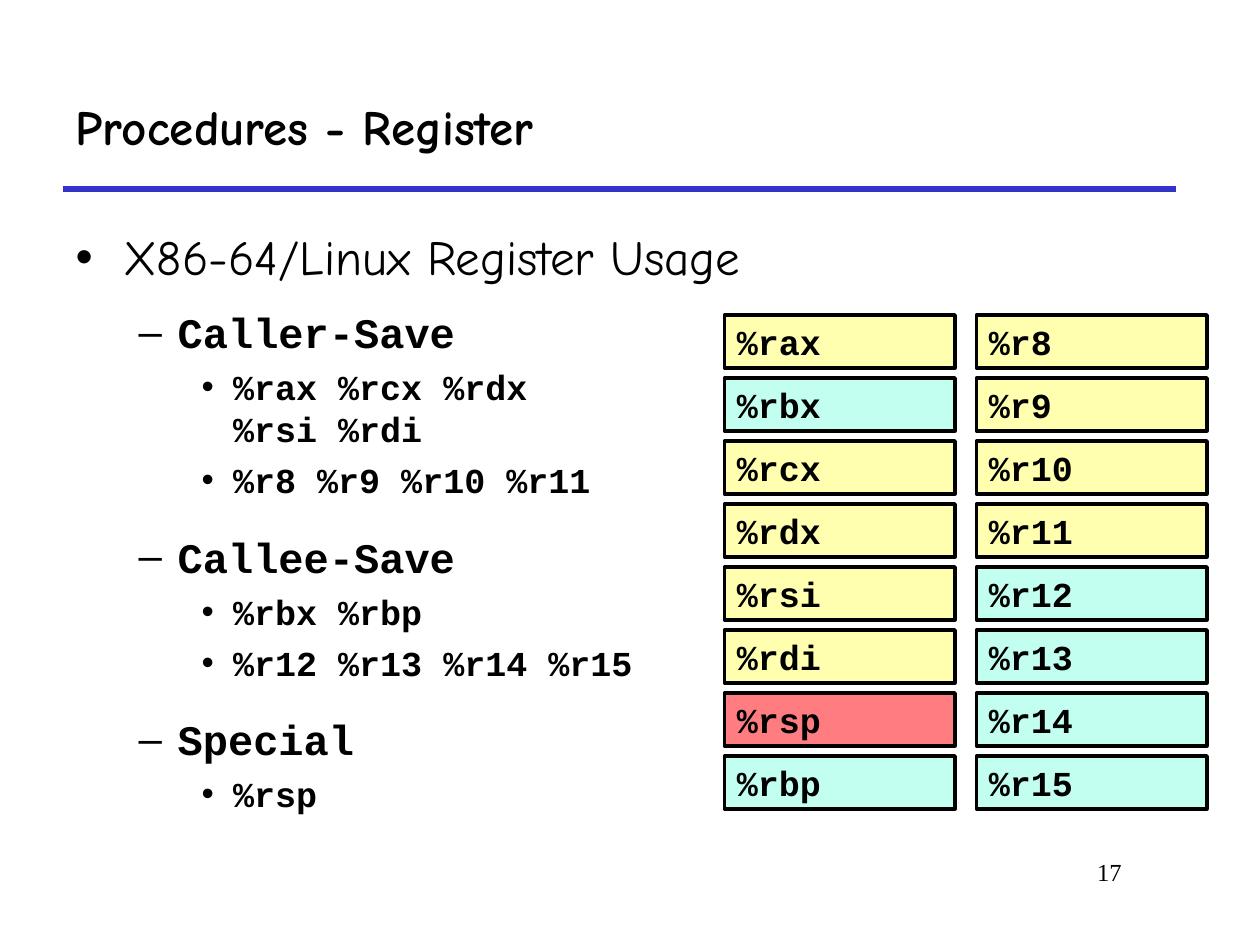
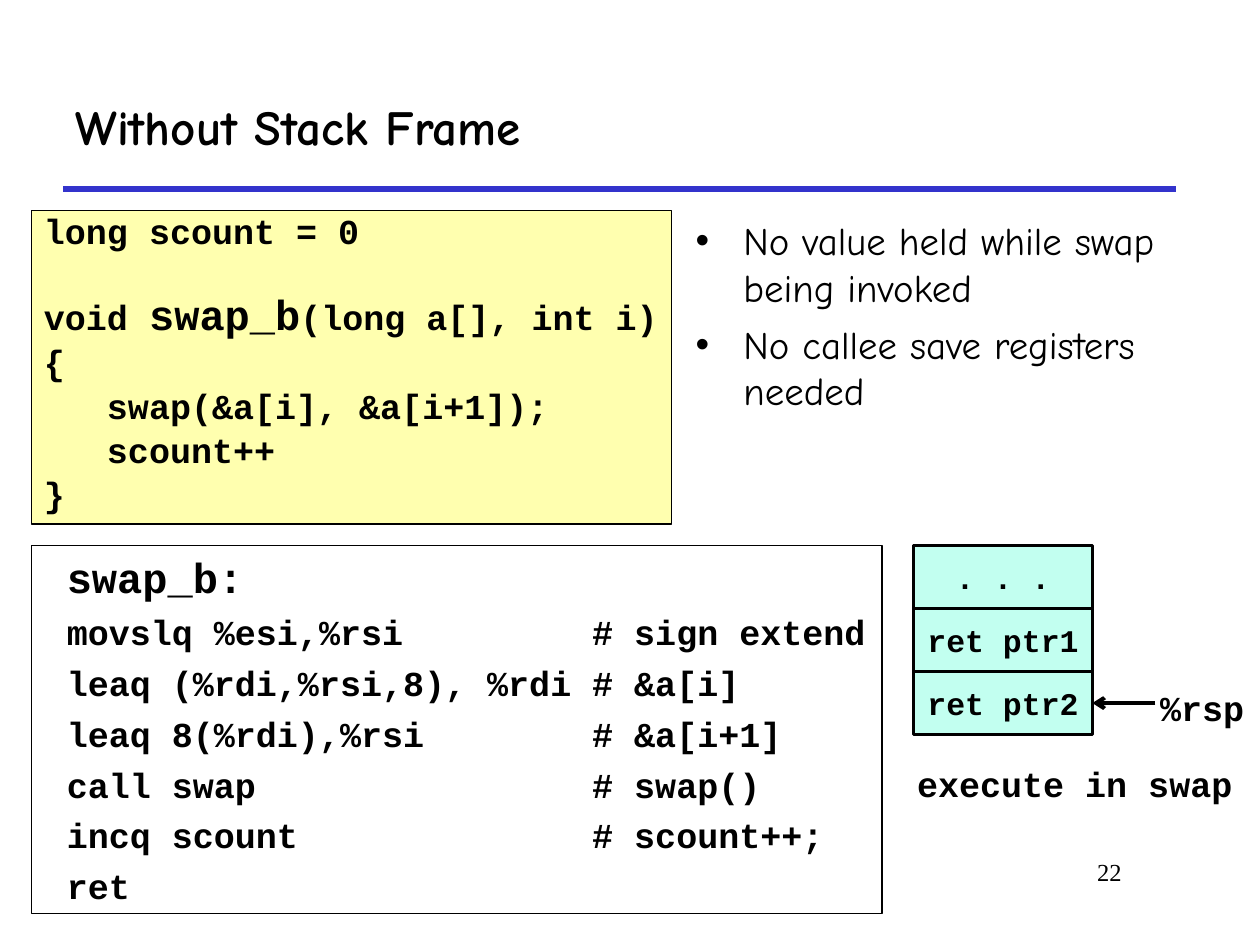
import copy
from dataclasses import dataclass
from typing import Any

import lxml.etree
import pptx
import pptx.dml.color
import pptx.enum.shapes
import pptx.enum.text
import pptx.oxml.ns
import pptx.shapes.autoshape
import pptx.slide
import pptx.text.text
import pptx.util
from pptx.util import Inches

COLOURS = {
    "ink": "000000",
    "rule": "3333CC",
    "paper": "FFFFFF",
    "caller": "FFFFAF",
    "callee": "C2FFF0",
    "special": "FF7C80",
}
HAND, CODE, SERIF = "Comic Neue", "Courier New", "Times New Roman"
ALIGN = pptx.enum.text.PP_ALIGN
ANCHOR = pptx.enum.text.MSO_ANCHOR
FRAME = {
    "word_wrap": True,
    "auto_size": pptx.enum.text.MSO_AUTO_SIZE.NONE,
    "vertical_anchor": ANCHOR.TOP,
    "margin_left": Inches(0.1),
    "margin_top": Inches(0.05),
    "margin_right": Inches(0.1),
    "margin_bottom": Inches(0.05),
}
NO_MARGINS = {f"margin_{side}": 0 for side in ("left", "top", "right", "bottom")}
MIDDLE = {"vertical_anchor": ANCHOR.MIDDLE}


@dataclass(frozen=True)
class Area:
    left: float
    top: float
    width: float
    height: float

    def lengths(self) -> list[int]:
        return [Inches(v) for v in (self.left, self.top, self.width, self.height)]


@dataclass(frozen=True)
class Piece:
    text: str
    size: float = 20
    font: str = CODE
    bold: bool = True


@dataclass(frozen=True)
class Bullet:
    mark: str
    indent: float
    hanging: float


@dataclass(frozen=True)
class Line:
    pieces: tuple[Piece, ...]
    before: float = 0
    align: Any = ALIGN.LEFT
    spacing: float | None = None
    level: int = 0
    bullet: Bullet | None = None
    tab: float | None = None


BULLETS = (Bullet("•", 0.38, 0.38), Bullet("–", 0.81, 0.31), Bullet("•", 1.25, 0.25))


def rgb(name: str) -> pptx.dml.color.RGBColor:
    return pptx.dml.color.RGBColor.from_string(COLOURS[name])


def apply(target: Any, values: dict[str, Any]) -> None:
    for name, value in values.items():
        setattr(target, name, value)


def add_xml(parent: Any, tag: str, **attributes: str) -> Any:
    return lxml.etree.SubElement(parent, pptx.oxml.ns.qn(tag), attributes)


def write_line(paragraph: Any, line: Line) -> None:
    properties = paragraph._p.get_or_add_pPr()
    if line.bullet:
        properties.set("marL", str(Inches(line.bullet.indent)))
        properties.set("indent", str(-Inches(line.bullet.hanging)))
        add_xml(add_xml(properties, "a:buClr"), "a:srgbClr", val=COLOURS["ink"])
        add_xml(properties, "a:buChar", char=line.bullet.mark)
    if line.tab:
        add_xml(add_xml(properties, "a:tabLst"), "a:tab", pos=str(Inches(line.tab)), algn="l")
    apply(paragraph, {"level": line.level, "alignment": line.align,
                      "space_before": pptx.util.Pt(line.before)})
    if line.spacing:
        paragraph.line_spacing = pptx.util.Pt(line.spacing)
    for piece in line.pieces:
        for index, part in enumerate(piece.text.split("\n")):
            if index:
                paragraph.add_line_break()
            run = paragraph.add_run()
            run.text = part
            apply(run.font, {"size": pptx.util.Pt(piece.size), "name": piece.font,
                             "bold": piece.bold})
            run.font.color.rgb = rgb("ink")
            if index:
                run._r.getprevious().append(copy.deepcopy(run._r.rPr))


def write(frame: pptx.text.text.TextFrame, lines: list[Line], **changes: Any) -> None:
    apply(frame, FRAME | changes)
    for index, line in enumerate(lines):
        write_line(frame.add_paragraph() if index else frame.paragraphs[0], line)


def place(shape: Any, area: Area) -> None:
    apply(shape, dict(zip(("left", "top", "width", "height"), area.lengths())))


def add_line(slide: pptx.slide.Slide, start: tuple[float, float], end: tuple[float, float],
             colour: str, weight: float) -> Any:
    line = slide.shapes.add_connector(
        pptx.enum.shapes.MSO_CONNECTOR.STRAIGHT, *[Inches(v) for v in start + end])
    line.line.color.rgb = rgb(colour)
    line.line.width = pptx.util.Pt(weight)
    add_xml(line.element.spPr, "a:effectLst")
    return line


def add_box(slide: pptx.slide.Slide, area: Area, fill: str, weight: float,
            lines: list[Line], **changes: Any) -> pptx.shapes.autoshape.Shape:
    box = slide.shapes.add_shape(pptx.enum.shapes.MSO_SHAPE.RECTANGLE, *area.lengths())
    box.shadow.inherit = False
    box.fill.solid()
    box.fill.fore_color.rgb = rgb(fill)
    box.line.color.rgb = rgb("ink")
    box.line.width = pptx.util.Pt(weight)
    write(box.text_frame, lines, **changes)
    return box


def add_label(slide: pptx.slide.Slide, area: Area, line: Line, **changes: Any) -> None:
    write(slide.shapes.add_textbox(*area.lengths()).text_frame, [line], **changes)


def add_slide(deck: Any, title: str, number: str, body: Area, items: list[Line]) -> pptx.slide.Slide:
    slide = deck.slides.add_slide(deck.slide_layouts[1])
    place(slide.shapes.title, Area(0.5, 0.5, 8.83, 1))
    write(slide.shapes.title.text_frame, [Line((Piece(title, 28, HAND),))], **MIDDLE)
    place(slide.placeholders[1], body)
    write(slide.placeholders[1].text_frame, items)
    add_label(slide, Area(7.58, 6.75, 1.42, 0.5),
              Line((Piece(number, 14, SERIF, False),), align=ALIGN.RIGHT))
    return slide


def item(text: str, level: int, size: float, before: float = 0, hand: bool = False) -> Line:
    piece = Piece(text, size, HAND if hand else CODE, not hand)
    return Line((piece,), before, level=level, bullet=BULLETS[level])


def build_registers(deck: Any) -> pptx.slide.Slide:
    usage = {
        "Caller-Save": ("%rax %rcx %rdx \n%rsi %rdi", "%r8 %r9 %r10 %r11"),
        "Callee-Save": ("%rbx %rbp", "%r12 %r13 %r14 %r15"),
        "Special": ("%rsp",),
    }
    fills = dict(zip(usage, ("caller", "callee", "special")))
    fill_of = {name: fills[role] for role, groups in usage.items()
               for name in " ".join(groups).split()}
    items = [item("X86-64/Linux Register Usage", 0, 28, hand=True)]
    for role, groups in usage.items():
        items.append(item(role, 1, 24, 12 if len(items) == 1 else 17.5))
        items += [item(group, 2, 20, 5) for group in groups]
    slide = add_slide(deck, "Procedures - Register", "17", Area(0.5, 1.75, 9, 5.42), items)
    columns = (
        ("%rax", "%rbx", "%rcx", "%rdx", "%rsi", "%rdi", "%rsp", "%rbp"),
        [f"%r{n}" for n in range(8, 16)],
    )
    for column, names in enumerate(columns):
        for row, name in enumerate(names):
            add_box(slide, Area(5.75 + 2 * column, 2.5 + 0.5 * row, 1.83, 0.42),
                    fill_of[name], 2, [Line((Piece(name),))], **MIDDLE)
    return slide


def build_swap(deck: Any) -> None:
    notes = ("No value held while swap being invoked", "No callee save registers needed")
    slide = add_slide(deck, "Without Stack Frame", "22", Area(5.42, 1.67, 4.5, 1.75),
                      [item(note, 0, 22.2, 6 * index, True) for index, note in enumerate(notes)])

    signature = (Piece("void "), Piece("swap_b", 24), Piece("(long a[], int i)"))
    statements = ("{", "   swap(&a[i], &a[i+1]);", "   scount++", "}")
    source = [Line((Piece("long scount = 0"),), spacing=20), Line(signature, 30, spacing=20)]
    source += [Line((Piece(text),), 5, spacing=20) for text in statements]
    add_box(slide, Area(0.25, 1.67, 5.08, 2.49), "caller", 0.75, source,
            margin_right=0, margin_bottom=Inches(0.08))

    instructions = (
        "movslq %esi,%rsi\t# sign extend",
        "leaq (%rdi,%rsi,8), %rdi\t# &a[i]",
        "leaq 8(%rdi),%rsi\t# &a[i+1]",
        "call swap\t# swap()",
        "incq scount\t# scount++;",
        "ret",
    )
    assembly = [Line((Piece("swap_b:", 24),))]
    assembly += [Line((Piece(text),), 5, tab=4.17) for text in instructions]
    add_box(slide, Area(0.25, 4.33, 6.75, 2.92), "paper", 0.75, assembly,
            margin_left=Inches(0.28))

    stack = [
        add_box(slide, Area(7.25, 4.33 + 0.5 * row, 1.42, 0.5), "callee", 2,
                [Line((Piece(text, 18),), align=ALIGN.CENTER)], **MIDDLE, **NO_MARGINS)
        for row, text in enumerate((". . .", "ret ptr1", "ret ptr2"))
    ]
    pointer = add_line(slide, (9.17, 5.58), (8.67, 5.58), "ink", 2.25)
    pointer.end_connect(stack[-1], 3)
    add_xml(pointer.line._get_or_add_ln(), "a:tailEnd", type="arrow")
    add_label(slide, Area(9.11, 5.4, 0.87, 0.44), Line((Piece("%rsp"),)), word_wrap=False)
    add_label(slide, Area(7.18, 6, 2.7, 0.44), Line((Piece("execute in swap"),)), word_wrap=False)


def main() -> None:
    deck = pptx.Presentation()
    apply(deck, {"slide_width": Inches(10), "slide_height": Inches(7.5)})
    registers = build_registers(deck)
    build_swap(deck)
    title_rule = add_line(registers, (0.5, 1.5), (9.33, 1.5), "rule", 3)
    deck.slide_master.shapes.element.append(title_rule.element)
    deck.save("out.pptx")


if __name__ == "__main__":
    main()
